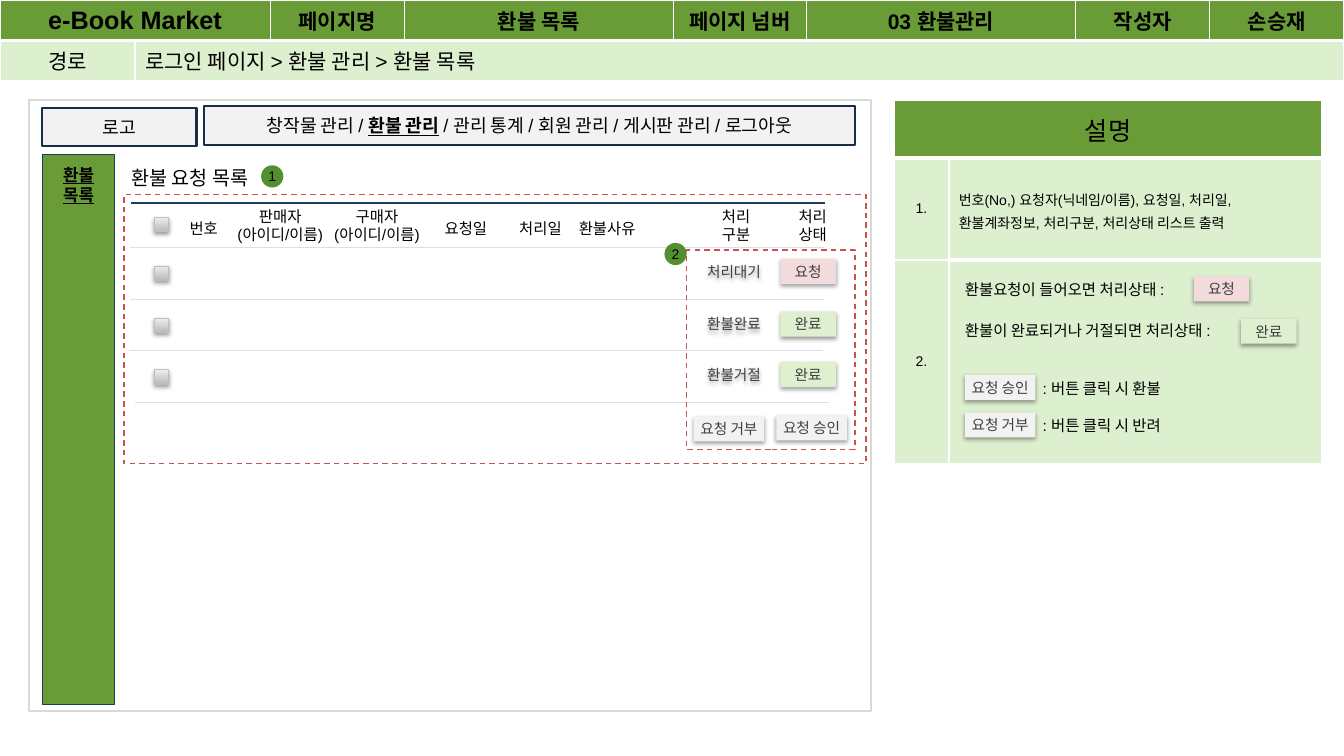
import collections
import pptx
import pptx.util
import pptx.dml.color
import pptx.enum.dml
import pptx.enum.shapes
import pptx.enum.text
import lxml.etree
import pptx.oxml
import pptx.oxml.ns

Inches, Pt = pptx.util.Inches, pptx.util.Pt
RGB = pptx.dml.color.RGBColor.from_string
ALIGN, ANCHOR = pptx.enum.text.PP_ALIGN, pptx.enum.text.MSO_ANCHOR
SHAPE = pptx.enum.shapes.MSO_SHAPE
DASH = pptx.enum.dml.MSO_LINE.DASH
NAMESPACE = pptx.oxml.ns.nsdecls("a")

Theme = collections.namedtuple(
    "Theme", "font black ink white green leaf pale frame grey navy blue rule red pink mint steel "
    "title heading header nav side label button small")
THEME = Theme(
    font="Arial", black="000000", ink="3F3F3F", white="FFFFFF", green="699B37", leaf="538E2F",
    pale="DCEFCE", frame="D9D9D9", grey="F2F2F2", navy="172D48", blue="1C3D62", rule="D9E0E7",
    red="C75252", pink="F3DBDB", mint="DFF0D0", steel="BFBFBF",
    title=18, heading=14, header=15, nav=13, side=12, label=11, button=10.5, small=10)

deck = pptx.Presentation()
deck.slide_width, deck.slide_height = Inches(13.33), Inches(7.5)
page = deck.slides.add_slide(deck.slide_layouts[5])


def add_box(bounds, text="", size=THEME.label, fill=None, line=None, width=1.5, color=THEME.black,
            align=ALIGN.CENTER, anchor=ANCHOR.MIDDLE, kind=SHAPE.RECTANGLE, raised=False):
    """Add a preset shape with uniform text; raised gives it a soft drop shadow."""
    box = page.shapes.add_shape(kind, *map(Inches, bounds))
    box.shadow.inherit = False
    if raised:
        effects = box.element.spPr.find(pptx.oxml.ns.qn("a:effectLst"))
        effects.append(pptx.oxml.parse_xml(
            f'<a:outerShdw {NAMESPACE} blurRad="{Pt(3.1)}" dist="{Pt(1.6)}" dir="5400000" rotWithShape="0">'
            f'<a:srgbClr val="{THEME.black}"><a:alpha val="38000"/></a:srgbClr></a:outerShdw>'))
    if fill:
        box.fill.solid()
        box.fill.fore_color.rgb = RGB(fill)
    else:
        box.fill.background()
    if line:
        box.line.color.rgb = RGB(line)
        box.line.width = Pt(width)
    else:
        box.line.fill.background()
    frame = box.text_frame
    frame.word_wrap = True
    frame.vertical_anchor = anchor
    frame.margin_left = frame.margin_right = frame.margin_top = frame.margin_bottom = 0
    if text:
        frame.text = text
    for para in frame.paragraphs:
        para.alignment = align
        para.font.name, para.font.size = THEME.font, Pt(size)
        para.font.color.rgb = RGB(color)
    return box


def fill_cell(cell, text, size, fill, border, bold=False, align=ALIGN.CENTER, anchor=ANCHOR.MIDDLE):
    """Write one table cell; border gives left, right, top and bottom widths in points."""
    cell.fill.solid()
    cell.fill.fore_color.rgb = RGB(fill)
    cell.vertical_anchor = anchor
    cell.text = text
    para = cell.text_frame.paragraphs[0]
    para.alignment = align
    para.font.name, para.font.size, para.font.bold = THEME.font, Pt(size), bold
    para.font.color.rgb = RGB(THEME.black)
    properties = cell._tc.get_or_add_tcPr()
    for place, (side, points) in enumerate(zip(("lnL", "lnR", "lnT", "lnB"), border)):
        properties.insert(place, pptx.oxml.parse_xml(
            f'<a:{side} {NAMESPACE} w="{Pt(points)}"><a:solidFill><a:srgbClr val="{THEME.white}"/>'
            f'</a:solidFill></a:{side}>'))


# Screen frame, navigation and side menu
screen = add_box((0.29, 0.99, 8.35, 6.06), fill=THEME.white, line=THEME.frame)
navigation = add_box((2.02, 1.05, 6.46, 0.39), size=THEME.nav, fill=THEME.grey, line=THEME.navy)
for part in ("창작물 관리 / ", "환불 관리", " / 관리 통계 / 회원 관리 / 게시판 관리 / 로그아웃"):
    span = navigation.text_frame.paragraphs[0].add_run()
    span.text = part
    span.font.bold = span.font.underline = part == "환불 관리"
add_box((0.42, 1.07, 1.53, 0.38), "로고", THEME.nav, THEME.grey, THEME.navy)
side_menu = add_box((0.42, 1.53, 0.72, 5.46), "환불\n목록", THEME.side, THEME.green, THEME.blue, 0.75,
                    anchor=ANCHOR.TOP)
side_menu.text_frame.margin_top = Inches(0.1)
for para in side_menu.text_frame.paragraphs:
    para.font.bold = para.font.underline = True

# List title, placed above the screen frame
title = page.shapes.title
screen.element.addnext(title.element)
title.left, title.top, title.width, title.height = map(Inches, (1.3, 1.65, 1.29, 0.24))
frame = title.text_frame
frame.text = "환불 요청 목록"
frame.word_wrap = True
frame.auto_size = pptx.enum.text.MSO_AUTO_SIZE.NONE
frame.vertical_anchor = ANCHOR.TOP
frame.margin_left = frame.margin_right = frame.margin_top = frame.margin_bottom = 0
para = frame.paragraphs[0]
para.alignment = ALIGN.LEFT
para.font.name, para.font.size = THEME.font, Pt(THEME.heading)
para.font.color.rgb = RGB(THEME.black)

# Page header and description tables
header = page.shapes.add_table(2, 8, 0, 0, Inches(13.33), Inches(0.68)).table
notes = page.shapes.add_table(4, 2, Inches(8.87), Inches(0.99), Inches(4.24), Inches(3.61)).table
for table, widths, heights in (
        (header, (1.34, 1.34, 1.33, 2.67, 1.32, 2.67, 1.33, 1.33), (0.34, 0.34)),
        (notes, (0.54, 3.7), (0.58, 1.01, 1.01, 1.01))):
    table.first_row = table.horz_banding = False
    for column, width in zip(table.columns, widths):
        column.width = Inches(width)
    for row, height in zip(table.rows, heights):
        row.height = Inches(height)

header.cell(0, 0).merge(header.cell(0, 1))
header.cell(1, 1).merge(header.cell(1, 7))
headings = ("e-Book Market", "", "페이지명", "환불 목록", "페이지 넘버", "03 환불관리", "작성자", "손승재")
for column, text in enumerate(headings):
    size = THEME.header if column else THEME.title
    fill_cell(header.cell(0, column), text, size, THEME.green, (1, 1, 1, 3), bold=True)
fill_cell(header.cell(1, 0), "경로", THEME.header, THEME.pale, (1, 1, 3, 1), anchor=ANCHOR.TOP)
fill_cell(header.cell(1, 1), "로그인 페이지 > 환불 관리 > 환불 목록", THEME.header, THEME.pale, (1, 1, 3, 1),
          align=ALIGN.LEFT, anchor=ANCHOR.TOP)

notes.cell(0, 0).merge(notes.cell(0, 1))
for column in range(2):
    notes.cell(2, column).merge(notes.cell(3, column))
fill_cell(notes.cell(0, 0), "설명", THEME.title, THEME.green, (1.5, 1.5, 1.5, 3))
fill_cell(notes.cell(1, 0), "1.", THEME.small, THEME.pale, (1.5, 1.5, 3, 1.5))
fill_cell(notes.cell(1, 1), "번호(No,) 요청자(닉네임/이름), 요청일, 처리일, 환불계좌정보, 처리구분, 처리상태 리스트 출력",
          THEME.small, THEME.pale, (1.5, 1.5, 3, 3), align=ALIGN.LEFT)
notes.cell(1, 1).text_frame.paragraphs[0].line_spacing = 1.15
fill_cell(notes.cell(2, 0), "2.", THEME.small, THEME.pale, (1.5, 1.5, 1.5, 1.5))
fill_cell(notes.cell(2, 1), "", THEME.small, THEME.pale, (1.5, 1.5, 3, 1.5))

# List rules and column labels
rules = [(1.3, 2.01, THEME.blue, 1.5)]
rules += [(left, 2.46 + 0.51 * row, THEME.rule, 0.75) for row, left in enumerate((1.29, 1.29, 1.28, 1.34))]
for left, top, color, width in rules:
    rule = page.shapes.add_connector(pptx.enum.shapes.MSO_CONNECTOR.STRAIGHT, Inches(left), Inches(top),
                                     Inches(left + 6.88), Inches(top))
    rule.line.color.rgb = RGB(color)
    rule.line.width = Pt(width)
    lxml.etree.SubElement(rule.element.spPr, pptx.oxml.ns.qn("a:effectLst"))

for left, top, width, text, align in (
        (1.88, 2.17, 0.31, "번호", ALIGN.LEFT),
        (2.3, 2.05, 0.96, "판매자\n(아이디/이름)", ALIGN.CENTER),
        (3.26, 2.05, 0.96, "구매자\n(아이디/이름)", ALIGN.CENTER),
        (4.41, 2.17, 0.46, "요청일", ALIGN.LEFT),
        (5.15, 2.17, 0.46, "처리일", ALIGN.LEFT),
        (5.74, 2.17, 0.72, "환불사유", ALIGN.LEFT),
        (7.16, 2.05, 0.38, "처리\n구분", ALIGN.LEFT),
        (7.92, 2.05, 0.31, "처리상태", ALIGN.LEFT),
        (9.57, 2.78, 2.3, "환불요청이 들어오면 처리상태 :", ALIGN.LEFT),
        (9.57, 3.19, 2.69, "환불이 완료되거나 거절되면 처리상태 :", ALIGN.LEFT),
        (10.34, 3.76, 1.53, ": 버튼 클릭 시 환불", ALIGN.LEFT),
        (10.34, 4.13, 1.53, ": 버튼 클릭 시 반려", ALIGN.LEFT)):
    add_box((left, top, width, 0.19), text, align=align, anchor=ANCHOR.TOP)

for top in (2.16, 2.64, 3.16, 3.67):
    checkbox = add_box((1.53, top, 0.14, 0.14), line=THEME.steel, width=0.75, raised=True)
    checkbox.fill.gradient()
    checkbox.fill.gradient_angle = 90
    for stop, color in zip(checkbox.fill.gradient_stops, ("BABABA", "EDEDED")):
        stop.color.rgb = RGB(color)
    for stop, position in zip(checkbox.fill.gradient_stops, (0, 1)):
        stop.position = position

# States and buttons
for left, top, width, text, fill in (
        (6.94, 2.57, 0.68, "처리대기", None), (7.74, 2.57, 0.55, "요청", THEME.pink),
        (6.94, 3.09, 0.68, "환불완료", None), (7.74, 3.09, 0.55, "완료", THEME.mint),
        (6.94, 3.59, 0.68, "환불거절", None), (7.74, 3.59, 0.55, "완료", THEME.mint),
        (6.88, 4.13, 0.7, "요청 거부", THEME.grey), (7.7, 4.12, 0.7, "요청 승인", THEME.grey),
        (11.84, 2.74, 0.55, "요청", THEME.pink), (12.31, 3.16, 0.55, "완료", THEME.mint),
        (9.57, 3.72, 0.7, "요청 승인", THEME.grey), (9.57, 4.09, 0.7, "요청 거부", THEME.grey)):
    add_box((left, top, width, 0.25), text, THEME.button, fill, color=THEME.ink, raised=True)

# Numbered areas
for number, marker, area in (("1", (2.59, 1.64), (1.23, 1.93, 7.36, 2.67)),
                             ("2", (6.59, 2.41), (6.81, 2.48, 1.67, 1.98))):
    add_box(area, line=THEME.red, width=1).line.dash_style = DASH
    add_box((*marker, 0.22, 0.22), number, THEME.small, THEME.leaf, kind=SHAPE.OVAL)

deck.save("out.pptx")
